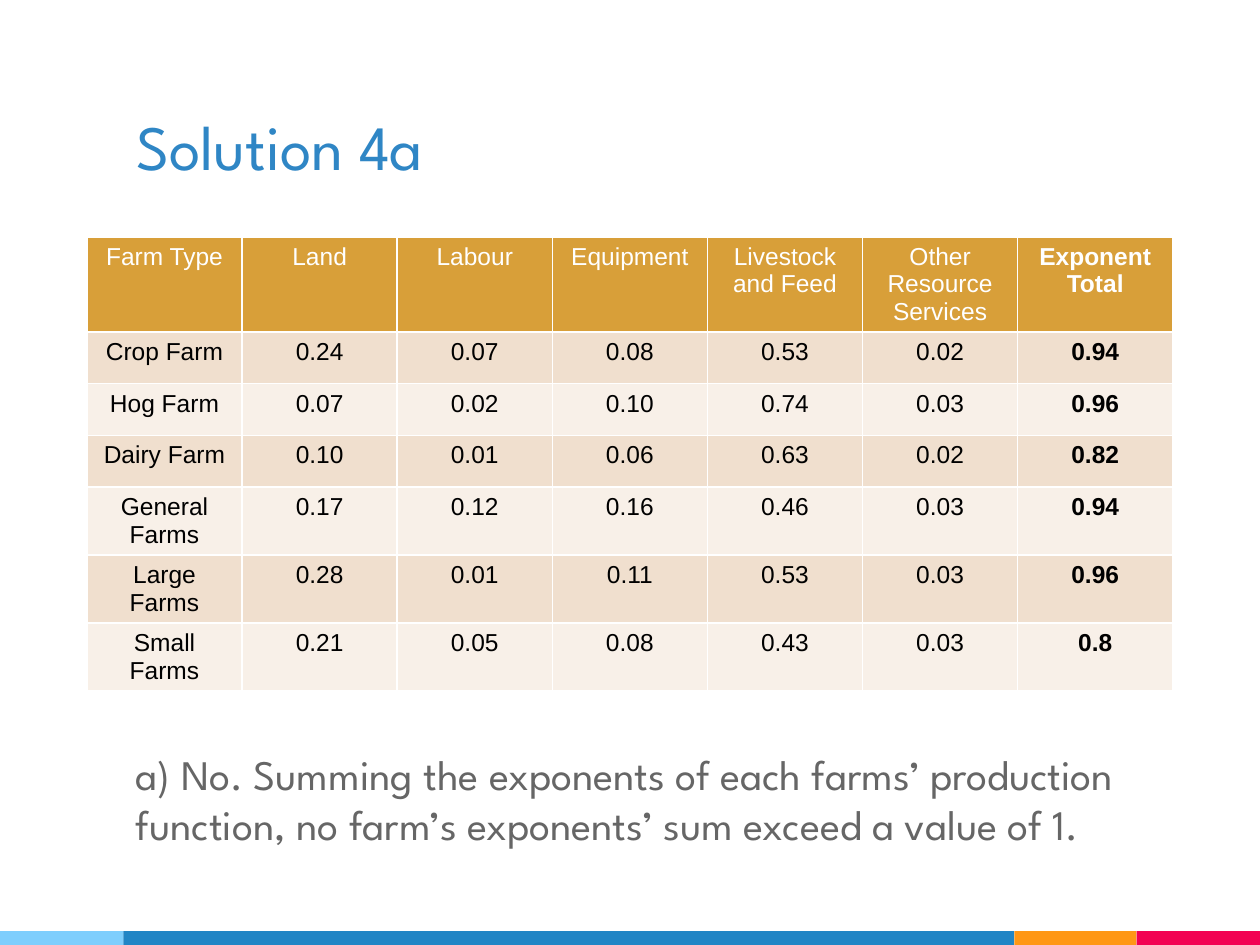
import dataclasses
import itertools

import lxml.etree
import pptx
import pptx.dml.color
import pptx.enum.shapes
import pptx.enum.text
import pptx.oxml.ns
import pptx.util


@dataclasses.dataclass(frozen=True)
class Theme:
    sky: str = "7ECEFD"
    blue: str = "2185C5"
    orange: str = "FF9715"
    red: str = "F20253"
    heading: str = "2F86C5"
    body: str = "666666"
    header: str = "D89F39"
    bands: tuple = ("F0DFCE", "F8F0E8")
    white: str = "FFFFFF"
    black: str = "000000"
    display_font: str = "League Spartan"
    table_font: str = "Arial"
    title_size: int = 36
    body_size: int = 24
    table_size: int = 14
    border_width: int = 1


class SlideBuilder:
    columns, rows = 100, 75

    def __init__(self, deck, theme):
        self.theme = theme
        self.unit_x = deck.slide_width / self.columns
        self.unit_y = deck.slide_height / self.rows
        self.page = deck.slides.add_slide(deck.slide_layouts[5])

    def area(self, left, top, width, height):
        return (round(left * self.unit_x), round(top * self.unit_y),
                round(width * self.unit_x), round(height * self.unit_y))

    def color(self, value):
        return pptx.dml.color.RGBColor.from_string(value)

    def set_text(self, frame, text, font, size, color, align="LEFT", bold=False):
        frame.text = text
        for para in frame.paragraphs:
            para.alignment = getattr(pptx.enum.text.PP_ALIGN, align)
            for span in para.runs:
                span.font.name = font
                span.font.size = pptx.util.Pt(size)
                span.font.bold = bold
                span.font.color.rgb = self.color(color)

    def title(self, text, *place):
        box = self.page.shapes.title
        box.left, box.top, box.width, box.height = self.area(*place)
        frame = box.text_frame
        frame.vertical_anchor = pptx.enum.text.MSO_ANCHOR.BOTTOM
        frame.margin_left = frame.margin_right = pptx.util.Inches(0.1)
        frame.margin_top = frame.margin_bottom = pptx.util.Inches(0.1)
        self.set_text(frame, text, self.theme.display_font,
                      self.theme.title_size, self.theme.heading)

    def paragraph(self, text, *place):
        box = self.page.shapes.add_textbox(*self.area(*place))
        box.text_frame.word_wrap = True
        self.set_text(box.text_frame, text, self.theme.display_font,
                      self.theme.body_size, self.theme.body)

    def stripe(self, edges, colors, top):
        for (left, right), color in zip(itertools.pairwise(edges), colors):
            bar = self.page.shapes.add_shape(
                pptx.enum.shapes.MSO_SHAPE.RECTANGLE,
                *self.area(left, top, right - left, self.rows - top))
            bar.shadow.inherit = False
            bar.fill.solid()
            bar.fill.fore_color.rgb = self.color(color)
            bar.line.fill.background()

    def border(self, cell):
        name = pptx.oxml.ns.qn
        properties = cell._tc.get_or_add_tcPr()
        for side in ("a:lnL", "a:lnR", "a:lnT", "a:lnB"):
            line = lxml.etree.SubElement(
                properties, name(side), w=str(pptx.util.Pt(self.theme.border_width)))
            fill = lxml.etree.SubElement(line, name("a:solidFill"))
            lxml.etree.SubElement(fill, name("a:srgbClr"), val=self.theme.white)

    def table(self, records, row_heights, left, top, width):
        theme = self.theme
        count = len(records[0])
        table = self.page.shapes.add_table(
            len(records), count,
            *self.area(left, top, width, sum(row_heights))).table
        for column in table.columns:
            column.width = round(width * self.unit_x / count)
        for index, (record, height) in enumerate(zip(records, row_heights)):
            table.rows[index].height = round(height * self.unit_y)
            fill = theme.bands[(index - 1) % 2] if index else theme.header
            ink = theme.black if index else theme.white
            for position, text in enumerate(record):
                cell = table.cell(index, position)
                self.border(cell)
                cell.fill.solid()
                cell.fill.fore_color.rgb = self.color(fill)
                self.set_text(cell.text_frame, text, theme.table_font,
                              theme.table_size, ink, "CENTER", position == count - 1)


EXPONENTS = [
    ("Farm Type", "Land", "Labour", "Equipment", "Livestock and Feed",
     "Other Resource Services", "Exponent Total"),
    ("Crop Farm", "0.24", "0.07", "0.08", "0.53", "0.02", "0.94"),
    ("Hog Farm", "0.07", "0.02", "0.10", "0.74", "0.03", "0.96"),
    ("Dairy Farm", "0.10", "0.01", "0.06", "0.63", "0.02", "0.82"),
    ("General Farms", "0.17", "0.12", "0.16", "0.46", "0.03", "0.94"),
    ("Large Farms", "0.28", "0.01", "0.11", "0.53", "0.03", "0.96"),
    ("Small Farms", "0.21", "0.05", "0.08", "0.43", "0.03", "0.8"),
]


def main():
    deck = pptx.Presentation()
    deck.slide_width = pptx.util.Inches(10)
    deck.slide_height = pptx.util.Inches(7.5)
    theme = Theme()
    slide = SlideBuilder(deck, theme)
    slide.stripe((0, 9.8, 80.5, 90.2, 100),
                 (theme.sky, theme.blue, theme.orange, theme.red), 73.9)
    slide.title("Solution 4a", 9.8, 3, 70.7, 12.5)
    slide.table(EXPONENTS, [7.5] + [4.1] * 3 + [5.4] * 3, 6.9, 18.8, 86.2)
    slide.paragraph("a) No. Summing the exponents of each farms’ production function, "
                    "no farm’s exponents’ sum exceed a value of 1.",
                    9.8, 58.9, 83.6, 13.1)
    deck.save("out.pptx")


if __name__ == "__main__":
    main()
